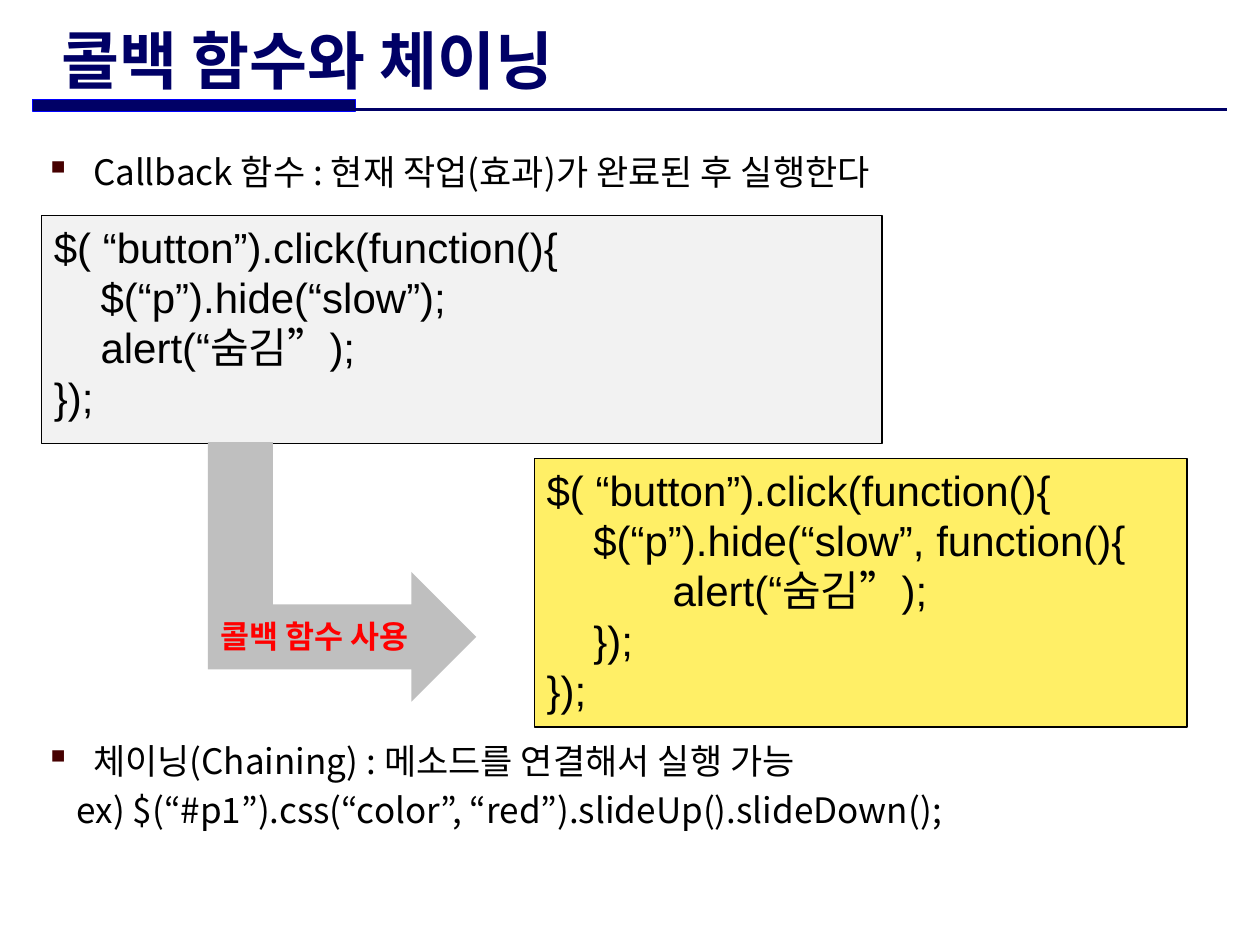
import pptx
import pptx.util
import pptx.dml.color
import pptx.enum.shapes
import pptx.enum.text
import lxml.etree
from dataclasses import dataclass
from pptx.oxml.ns import qn

Inches = pptx.util.Inches
Pt = pptx.util.Pt
SHAPES = pptx.enum.shapes.MSO_SHAPE
ANCHORS = pptx.enum.text.MSO_ANCHOR


@dataclass(frozen=True)
class Theme:
    navy: str = "000066"
    rule_edge: str = "0000FF"
    black: str = "000000"
    red: str = "FF0000"
    bullet: str = "460000"
    before_fill: str = "F2F2F2"
    after_fill: str = "FFEF66"
    arrow_fill: str = "BFBFBF"
    title_font: str = "Comic Neue"
    body_font: str = "Noto Sans CJK KR"
    code_font: str = "Arial"
    title_size: float = 36
    body_size: float = 20
    code_size: float = 24
    label_size: float = 18
    body_leading: float = 28
    code_leading: float = 28.6


THEME = Theme()
WIDTH, HEIGHT = 10, 7.5
INSET = 0.1
CODE_INDENTS = (0, 0.37, 1)  # inches for each nesting level


def color(value):
    return pptx.dml.color.RGBColor.from_string(value)


def add_box(slide, box, fill, line=None, kind=SHAPES.RECTANGLE):
    shape = slide.shapes.add_shape(kind, *map(Inches, box))
    shape.shadow.inherit = False
    shape.fill.solid()
    shape.fill.fore_color.rgb = color(fill)
    if line:
        shape.line.color.rgb = color(line)
        shape.line.width = Pt(0.75)
    else:
        shape.line.fill.background()
    return shape


def add_text(slide, box, wrap=True):
    frame = slide.shapes.add_textbox(*map(Inches, box)).text_frame
    frame.word_wrap = wrap
    return frame


def write(paragraph, text, font, size, ink, bold=False, leading=None):
    paragraph.text = text
    paragraph.alignment = pptx.enum.text.PP_ALIGN.LEFT
    if leading:
        paragraph.line_spacing = Pt(leading)
    for run in paragraph.runs:
        run.font.name = font
        run.font.size = Pt(size)
        run.font.bold = bold
        run.font.color.rgb = color(ink)
        east_asian = lxml.etree.SubElement(run.font._element, qn("a:ea"))
        east_asian.set("typeface", THEME.body_font)


def indent(paragraph, left, hanging=0):
    properties = paragraph._p.get_or_add_pPr()
    properties.set("marL", str(Inches(left)))
    properties.set("indent", str(-Inches(hanging)))
    return properties


def add_bullet(paragraph):
    properties = indent(paragraph, 0.38, 0.38)
    bullet_color = lxml.etree.SubElement(properties, qn("a:buClr"))
    lxml.etree.SubElement(bullet_color, qn("a:srgbClr")).set("val", THEME.bullet)
    lxml.etree.SubElement(properties, qn("a:buChar")).set("char", "▪")


def header(slide, box, title):
    """Title above a thick bar and a thin rule."""
    left, top, width, height = box
    bar_height = 0.09
    bottom = top + height
    add_box(slide, (left, bottom - bar_height, width * 0.27, bar_height),
            THEME.navy, THEME.rule_edge)
    rule = slide.shapes.add_connector(
        pptx.enum.shapes.MSO_CONNECTOR.STRAIGHT,
        *map(Inches, (left, bottom - 0.01, left + width, bottom - 0.01)))
    rule.line.color.rgb = color(THEME.navy)
    rule.line.width = Pt(1.5)
    lxml.etree.SubElement(rule._element.spPr, qn("a:effectLst"))
    frame = add_text(slide, (left + 0.13, top, 6.79, 0.52))
    frame.vertical_anchor = ANCHORS.MIDDLE
    write(frame.paragraphs[0], title, THEME.title_font, THEME.title_size,
          THEME.navy, bold=True)


def statement(slide, box, point, example=None):
    """Bulleted line with an optional example under it."""
    frame = add_text(slide, box)
    frame.margin_top = frame.margin_bottom = 0
    style = (THEME.body_font, THEME.body_size, THEME.black)
    write(frame.paragraphs[0], point, *style, leading=THEME.body_leading)
    add_bullet(frame.paragraphs[0])
    if example:
        paragraph = frame.add_paragraph()
        write(paragraph, example, *style, leading=THEME.body_leading)
        indent(paragraph, 0.25)


def code_panel(slide, box, fill, lines):
    """Framed code; each line comes with its nesting level."""
    frame = add_box(slide, box, fill, THEME.black).text_frame
    frame.word_wrap = True
    frame.vertical_anchor = ANCHORS.TOP
    for number, (level, text) in enumerate(lines):
        paragraph = frame.add_paragraph() if number else frame.paragraphs[0]
        write(paragraph, text, THEME.code_font, THEME.code_size, THEME.black,
              leading=THEME.code_leading)
        indent(paragraph, CODE_INDENTS[level])


def turning_arrow(slide, box, label):
    """Arrow going down, then right, with a label on its shaft."""
    left, top, width, height = box
    # The preset is turned a quarter, so its own sides are swapped.
    arrow = add_box(slide, (left + (width - height) / 2,
                            top + (height - width) / 2, height, width),
                    THEME.arrow_fill, kind=SHAPES.BENT_UP_ARROW)
    arrow.rotation = 90
    frame = add_text(slide, (left, top + height * 0.65, 1.83, 0.4), wrap=False)
    write(frame.paragraphs[0], label, THEME.code_font, THEME.label_size,
          THEME.red, bold=True)


def main():
    presentation = pptx.Presentation()
    presentation.slide_width = Inches(WIDTH)
    presentation.slide_height = Inches(HEIGHT)
    slide = presentation.slides.add_slide(presentation.slide_layouts[6])

    margin = 0.26
    content = WIDTH - 2 * margin
    header(slide, (margin, 0.21, content, 0.67), "콜백 함수와 체이닝")
    statement(slide, (margin, 1.14, content, 0.4),
              "Callback 함수 : 현재 작업(효과)가 완료된 후 실행한다")

    # Code without and with a callback
    code_panel(slide, (4.24, 3.64, 5.18, 2.13), THEME.after_fill, [
        (0, "$( “button”).click(function(){"),
        (1, "$(“p”).hide(“slow”, function(){"),
        (2, "alert(“숨김”);"),
        (1, "});"),
        (0, "});"),
    ])
    code_panel(slide, (0.33, 1.71, 6.67, 1.81), THEME.before_fill, [
        (0, "$( “button”).click(function(){"),
        (1, "$(“p”).hide(“slow”);"),
        (1, "alert(“숨김”);"),
        (0, "});"),
    ])
    turning_arrow(slide, (1.65, 3.51, 2.13, 2.06), "콜백 함수 사용")

    statement(slide, (margin, 5.81, content, 0.8),
              "체이닝(Chaining) : 메소드를 연결해서 실행 가능",
              "ex) $(“#p1”).css(“color”, “red”).slideUp().slideDown();")
    presentation.save("out.pptx")


if __name__ == "__main__":
    main()
